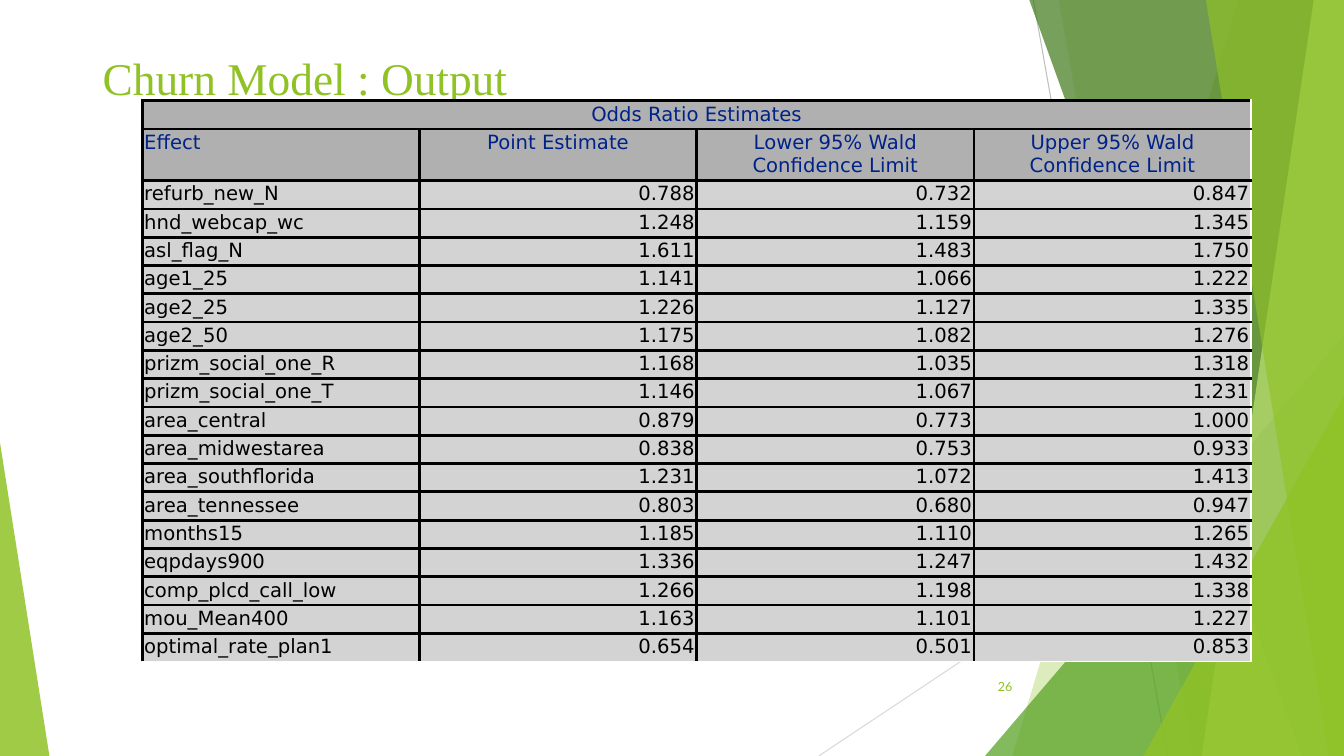
from collections import namedtuple

from lxml import etree
from pptx import Presentation
from pptx import util as u
from pptx.dml.color import RGBColor
from pptx.enum import shapes, text
from pptx.oxml import ns

Box = namedtuple("Box", "left top width height")

SLIDE_WIDTH, SLIDE_HEIGHT = u.Inches(13.33), u.Inches(7.5)
COLUMN, ROW = SLIDE_WIDTH / 100, SLIDE_HEIGHT / 100
HEADER_WEIGHT = 1.82

COLORS = {
    "lime": "90C226", "leaf": "54A021", "forest": "3F7819", "pale": "C0E474",
    "steep line": "BFBFBF", "low line": "D9D9D9",
    "header": "B0B0B0", "body": "D3D3D3", "header text": "002288",
    "black": "000000", "white": "FFFFFF",
}

HEADINGS = ["Effect", "Point Estimate", "Lower 95% Wald Confidence Limit",
            "Upper 95% Wald Confidence Limit"]
ESTIMATES = [
    ["refurb_new_N", "0.788", "0.732", "0.847"],
    ["hnd_webcap_wc", "1.248", "1.159", "1.345"],
    ["asl_flag_N", "1.611", "1.483", "1.750"],
    ["age1_25", "1.141", "1.066", "1.222"],
    ["age2_25", "1.226", "1.127", "1.335"],
    ["age2_50", "1.175", "1.082", "1.276"],
    ["prizm_social_one_R", "1.168", "1.035", "1.318"],
    ["prizm_social_one_T", "1.146", "1.067", "1.231"],
    ["area_central", "0.879", "0.773", "1.000"],
    ["area_midwestarea", "0.838", "0.753", "0.933"],
    ["area_southflorida", "1.231", "1.072", "1.413"],
    ["area_tennessee", "0.803", "0.680", "0.947"],
    ["months15", "1.185", "1.110", "1.265"],
    ["eqpdays900", "1.336", "1.247", "1.432"],
    ["comp_plcd_call_low", "1.266", "1.198", "1.338"],
    ["mou_Mean400", "1.163", "1.101", "1.227"],
    ["optimal_rate_plan1", "0.654", "0.501", "0.853"],
]


def color(name):
    return RGBColor.from_string(COLORS[name])


def grid(left, top, width, height):
    return Box(round(left * COLUMN), round(top * ROW),
               round(width * COLUMN), round(height * ROW))


def point(box, across, down):
    return (round(box.left + box.width * across / 100),
            round(box.top + box.height * down / 100))


def paint(shape, name, opacity):
    shape.shadow.inherit = False
    shape.line.fill.background()
    shape.fill.solid()
    shape.fill.fore_color.rgb = color(name)
    solid = shape.fill._xPr.find(ns.qn("a:solidFill"))
    etree.SubElement(solid[0], ns.qn("a:alpha"), val=str(opacity * 1000))


def add_thin_line(slide, box, start, end, name):
    line = slide.shapes.add_connector(shapes.MSO_CONNECTOR.STRAIGHT,
                                      *point(box, *start), *point(box, *end))
    line.line.color.rgb = color(name)
    line.line.width = u.Pt(0.75)
    etree.SubElement(line._element.spPr, ns.qn("a:effectLst"))


def add_band(slide, box, top_edge, bottom_edge, name, opacity):
    corners = [point(box, *corner) for corner in
               [(top_edge, 0), (100, 0), (100, 100), (bottom_edge, 100)]]
    builder = slide.shapes.build_freeform(*corners[0])
    builder.add_line_segments(corners[1:], close=True)
    paint(builder.convert_to_shape(), name, opacity)


def add_corner(slide, box, left, right, top, apex, name, opacity):
    x, y = point(box, left, top)
    end_x, end_y = point(box, right, 100)
    triangle = slide.shapes.add_shape(shapes.MSO_SHAPE.ISOSCELES_TRIANGLE,
                                      x, y, end_x - x, end_y - y)
    triangle.adjustments[0] = apex
    paint(triangle, name, opacity)


def add_facets(slide, box):
    add_thin_line(slide, box, (76.89, 0), (86.87, 100), "steep line")
    add_thin_line(slide, box, (100, 53.73), (60.92, 100), "low line")
    add_band(slide, box, 92.12, 75.32, "lime", 30)
    add_band(slide, box, 78.77, 88.75, "lime", 20)
    add_corner(slide, box, 73.29, 100, 44.4, 1, "leaf", 72)
    add_band(slide, box, 76.59, 96.85, "forest", 70)
    add_band(slide, box, 97.75, 89.42, "pale", 70)
    add_band(slide, box, 89.72, 98.87, "lime", 65)
    add_corner(slide, box, 85.07, 100, 52.4, 1, "lime", 80)
    add_corner(slide, box, 0, 3.68, 58.53, 0, "lime", 85)


def write(frame, words, font_name, size, name, alignment):
    frame.text = words
    paragraph = frame.paragraphs[0]
    paragraph.alignment = alignment
    font = paragraph.runs[0].font
    font.name, font.size = font_name, u.Pt(size)
    font.color.rgb = color(name)


def add_label(slide, box, words, font_name, size, alignment, anchor):
    frame = slide.shapes.add_textbox(*box).text_frame
    frame.word_wrap = True
    frame.vertical_anchor = anchor
    write(frame, words, font_name, size, "lime", alignment)


def add_borders(cell, white_sides):
    properties = cell._tc.get_or_add_tcPr()
    for side in "LRTB":
        name, width = ("white", 1.13) if side in white_sides else ("black", 2.25)
        border = etree.SubElement(properties, ns.qn(f"a:ln{side}"), w=str(u.Pt(width)))
        fill = etree.SubElement(border, ns.qn("a:solidFill"))
        etree.SubElement(fill, ns.qn("a:srgbClr"), val=COLORS[name])


def add_odds_table(slide, box):
    rows = [["Odds Ratio Estimates", "", "", ""], HEADINGS, *ESTIMATES]
    table = slide.shapes.add_table(len(rows), len(HEADINGS), *box).table
    table.first_row = table.horz_banding = False
    row_height = box.height / (len(rows) - 1 + HEADER_WEIGHT)
    for column in table.columns:
        column.width = box.width // len(HEADINGS)
    for r, values in enumerate(rows):
        table.rows[r].height = round(row_height * (HEADER_WEIGHT if r == 1 else 1))
        kind = "header" if r < 2 else "body"
        for c, value in enumerate(values):
            cell = table.cell(r, c)
            cell.margin_left = cell.margin_right = u.Inches(0.02)
            cell.margin_top = cell.margin_bottom = u.Inches(0.02)
            add_borders(cell, ("R" if r == 0 or c == len(values) - 1 else "")
                        + ("B" if r == len(rows) - 1 else ""))
            cell.fill.solid()
            cell.fill.fore_color.rgb = color(kind)
            if value:
                if r == 0 or (r == 1 and c > 0):
                    alignment = text.PP_ALIGN.CENTER
                else:
                    alignment = text.PP_ALIGN.RIGHT if c else text.PP_ALIGN.LEFT
                write(cell.text_frame, value, "DejaVu Sans", 14,
                      "header text" if r < 2 else "black", alignment)
    table.cell(0, 0).merge(table.cell(0, len(HEADINGS) - 1))


def main():
    presentation = Presentation()
    presentation.slide_width, presentation.slide_height = SLIDE_WIDTH, SLIDE_HEIGHT
    slide = presentation.slides.add_slide(presentation.slide_layouts[6])
    add_facets(slide, grid(0, 0, 100, 100))
    add_label(slide, grid(6.9, 6, 86.05, 5.47), "Churn Model : Output",
              "Times New Roman", 32.4, text.PP_ALIGN.LEFT, text.MSO_ANCHOR.TOP)
    add_odds_table(slide, grid(10.58, 13.33, 82.52, 74.27))
    add_label(slide, grid(70.44, 88.13, 5.63, 5.33), "26",
              "Lato", 9, text.PP_ALIGN.RIGHT, text.MSO_ANCHOR.MIDDLE)
    presentation.save("out.pptx")


if __name__ == "__main__":
    main()
